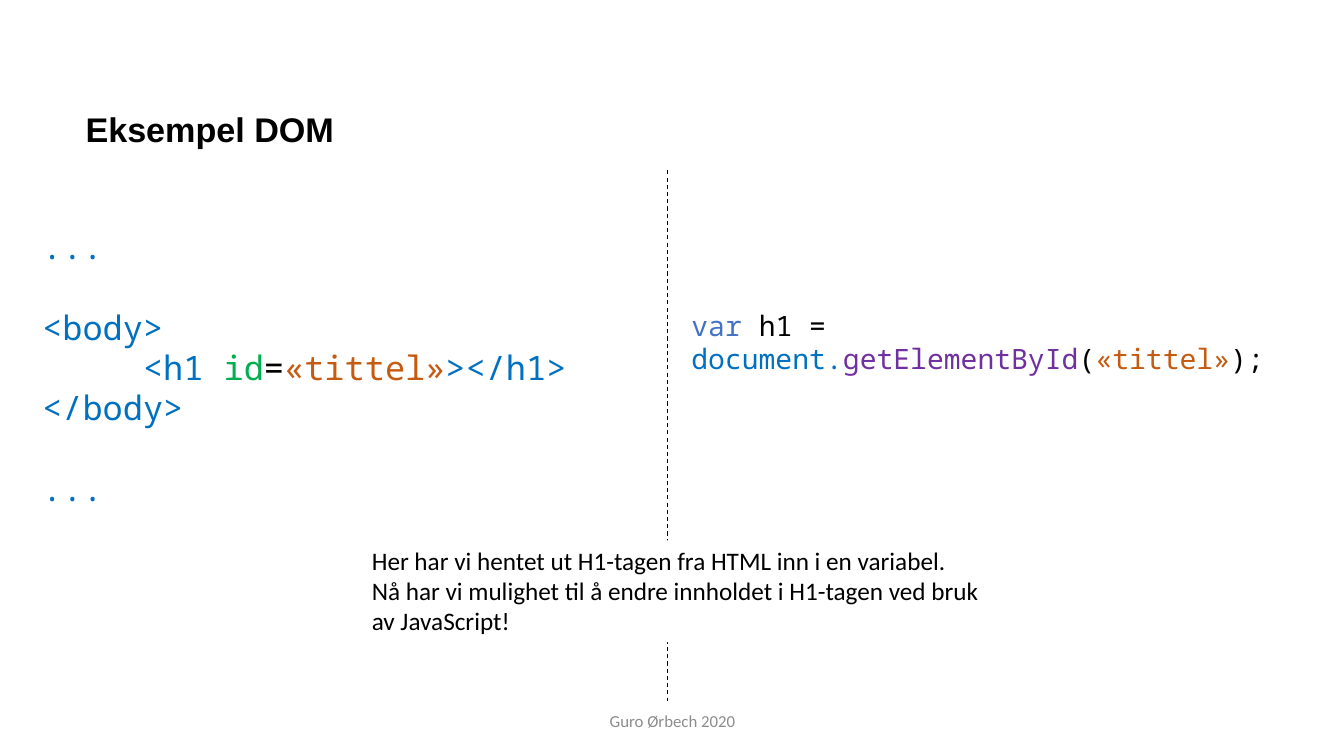
from dataclasses import dataclass
from lxml import etree
from pptx import Presentation
from pptx.dml.color import RGBColor
from pptx.enum.dml import MSO_LINE
from pptx.enum.shapes import MSO_CONNECTOR, MSO_SHAPE
from pptx.enum.text import MSO_ANCHOR, PP_ALIGN
from pptx.oxml.ns import qn
from pptx.util import Inches, Pt

TOP, MIDDLE = MSO_ANCHOR.TOP, MSO_ANCHOR.MIDDLE
LEFT, CENTER = PP_ALIGN.LEFT, PP_ALIGN.CENTER
DASH = MSO_LINE.DASH
STRAIGHT = MSO_CONNECTOR.STRAIGHT
RECT = MSO_SHAPE.RECTANGLE
WIDE, HIGH = Inches(13.33), Inches(7.5)


@dataclass(frozen=True)
class Theme:
    black: str = "000000"
    white: str = "FFFFFF"
    grey: str = "8C8C8C"
    tag: str = "0070C0"
    attr: str = "00B050"
    text: str = "C55A11"
    word: str = "4472C4"
    call: str = "7030A0"
    head: str = "Arial"
    body: str = "Calibri"
    mono: str = "Noto Sans Mono"
    title: float = 24.4
    html: int = 24
    script: int = 20
    note: int = 18
    foot: int = 12
    gap: int = 29
    tab: float = 1
    rule: float = 0.75


THEME = Theme()


def grid(x, y, wide, high):
    """Turn hundredths of the slide into a box."""
    return (int(WIDE * x / 100), int(HIGH * y / 100),
            int(WIDE * wide / 100), int(HIGH * high / 100))


def setup(shape, anchor=TOP):
    frame = shape.text_frame
    frame.word_wrap = True
    frame.vertical_anchor = anchor
    return frame


def write(para, runs, font, size, bold=False, align=LEFT):
    para.alignment = align
    for text, color in runs:
        run = para.add_run()
        run.text = text
        run.font.name = font
        run.font.size = Pt(size)
        run.font.bold = bold
        run.font.color.rgb = RGBColor.from_string(color)


def add_title(slide, box):
    para = setup(slide.shapes.add_textbox(*box), MIDDLE).paragraphs[0]
    para.line_spacing = 0.9
    write(para, [("Eksempel DOM", THEME.black)], THEME.head, THEME.title, bold=True)


def add_html(slide, box):
    t = THEME
    # Each line: space before, indent, runs
    lines = [
        (0, 0, [("...", t.tag)]),
        (t.gap, 0, [("<body>", t.tag)]),
        (0, t.tab, [("<h1 ", t.tag), ("id", t.attr), ("=", t.black),
                    ("«tittel»", t.text), ("></h1>", t.tag)]),
        (0, 0, [("</body>", t.tag)]),
        (t.gap, 0, [("...", t.tag)]),
    ]
    frame = setup(slide.shapes.add_textbox(*box))
    for i, (gap, indent, runs) in enumerate(lines):
        para = frame.add_paragraph() if i else frame.paragraphs[0]
        write(para, runs, t.mono, t.html)
        para.space_before = Pt(gap)
        para._p.get_or_add_pPr().set("marL", str(Inches(indent)))


def add_script(slide, box):
    t = THEME
    runs = [("var", t.word), (" h1 = ", t.black), ("document.", t.tag),
            ("getElementById", t.call), ("(", t.black),
            ("«tittel»", t.text), (");", t.black)]
    frame = setup(slide.shapes.add_textbox(*box))
    write(frame.paragraphs[0], runs, t.mono, t.script)


def add_rule(slide, box):
    x, y, wide, high = box
    rule = slide.shapes.add_connector(STRAIGHT, x, y, x + wide, y + high)
    rule.line.color.rgb = RGBColor.from_string(THEME.black)
    rule.line.width = Pt(THEME.rule)
    rule.line.dash_style = DASH
    etree.SubElement(rule._element.spPr, qn("a:effectLst"))


def add_note(slide, box):
    note = slide.shapes.add_shape(RECT, *box)
    note.shadow.inherit = False
    note.fill.solid()
    note.fill.fore_color.rgb = RGBColor.from_string(THEME.white)
    note.line.fill.background()
    frame = setup(note)
    lines = ["Her har vi hentet ut H1-tagen fra HTML inn i en variabel.",
             "Nå har vi mulighet til å endre innholdet i H1-tagen ved bruk av JavaScript!"]
    for i, line in enumerate(lines):
        para = frame.add_paragraph() if i else frame.paragraphs[0]
        write(para, [(line, THEME.black)], THEME.body, THEME.note)


def add_foot(slide, box):
    frame = setup(slide.shapes.add_textbox(*box), MIDDLE)
    write(frame.paragraphs[0], [("Guro Ørbech 2020", THEME.grey)],
          THEME.body, THEME.foot, align=CENTER)


def main():
    deck = Presentation()
    deck.slide_width, deck.slide_height = WIDE, HIGH
    slide = deck.slides.add_slide(deck.slide_layouts[6])
    add_foot(slide, grid(33.16, 92.67, 33.76, 5.33))
    add_title(slide, grid(5.63, 10.27, 54.16, 14.27))
    add_html(slide, grid(2.4, 29.2, 49.14, 55.2))
    add_script(slide, grid(50.71, 40.13, 46.96, 15.73))
    add_rule(slide, grid(49.66, 22.53, 0, 70.14))
    add_note(slide, grid(26.93, 71.47, 46.96, 13.47))
    deck.save("out.pptx")


if __name__ == "__main__":
    main()
